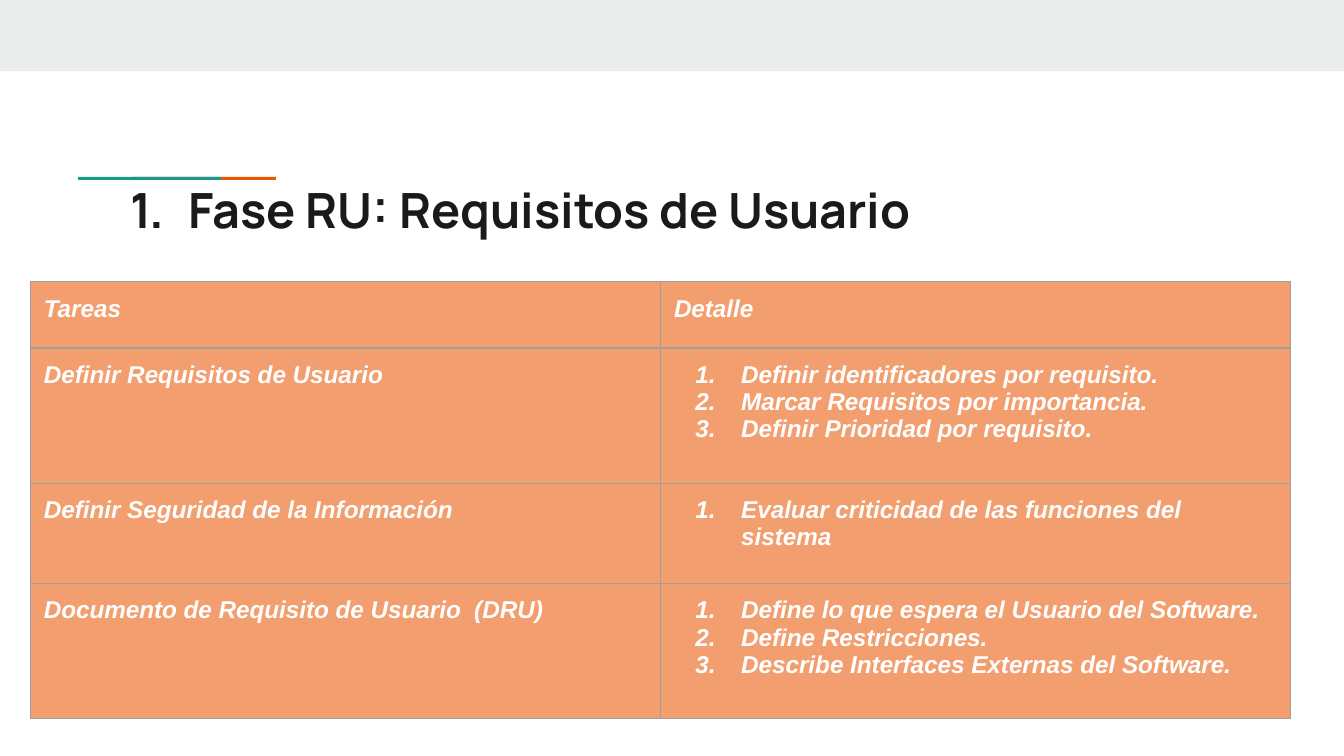
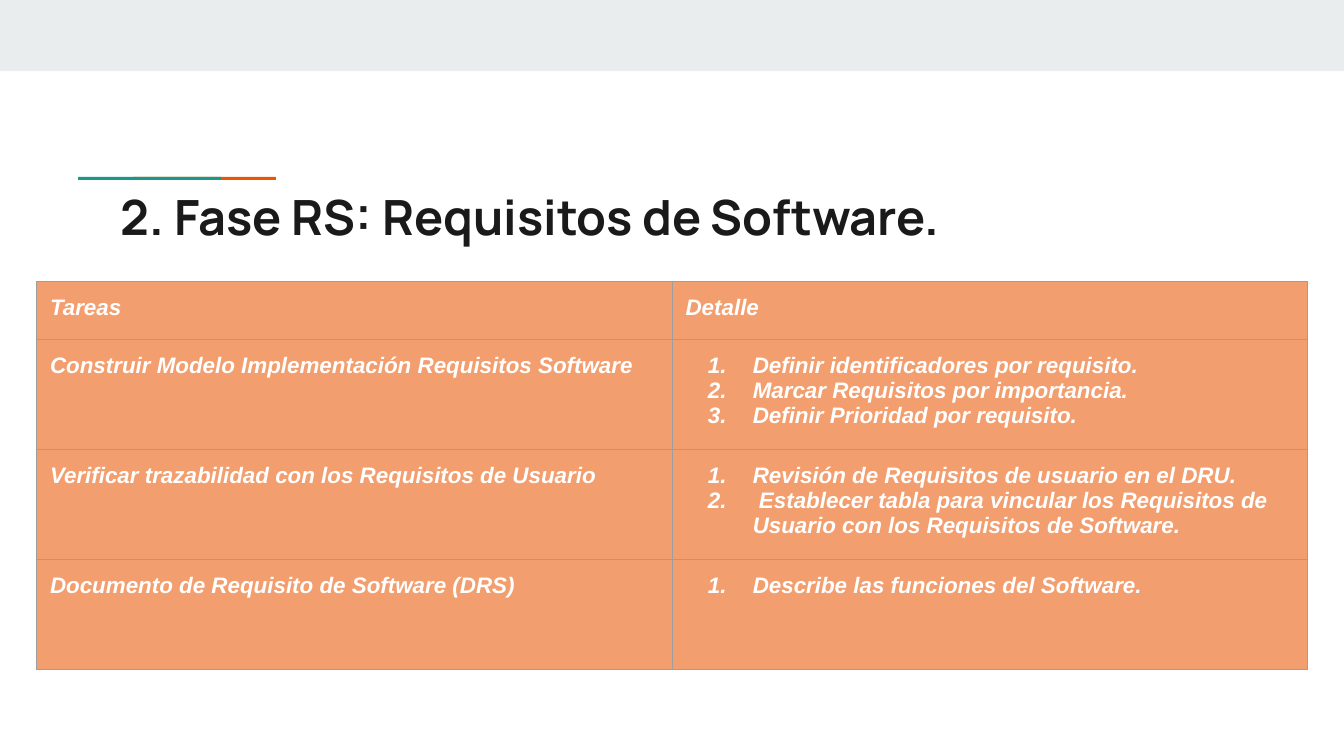
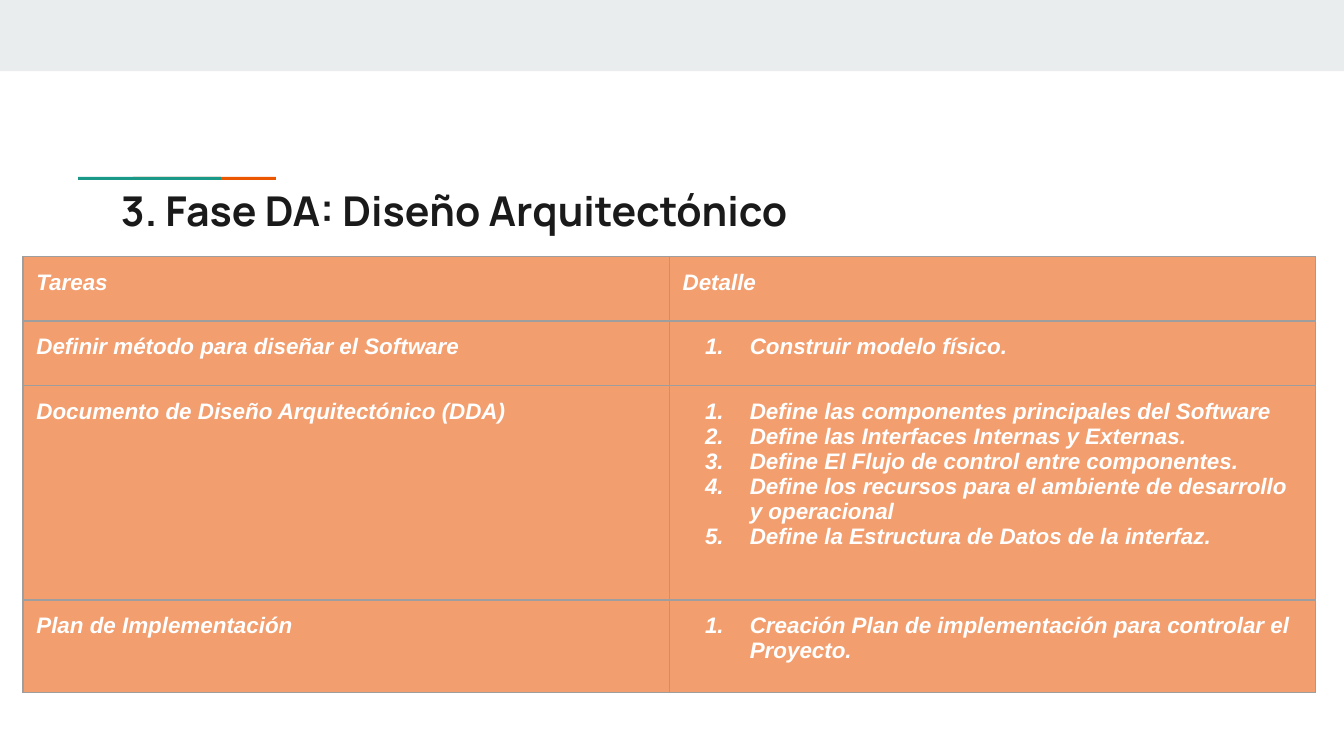
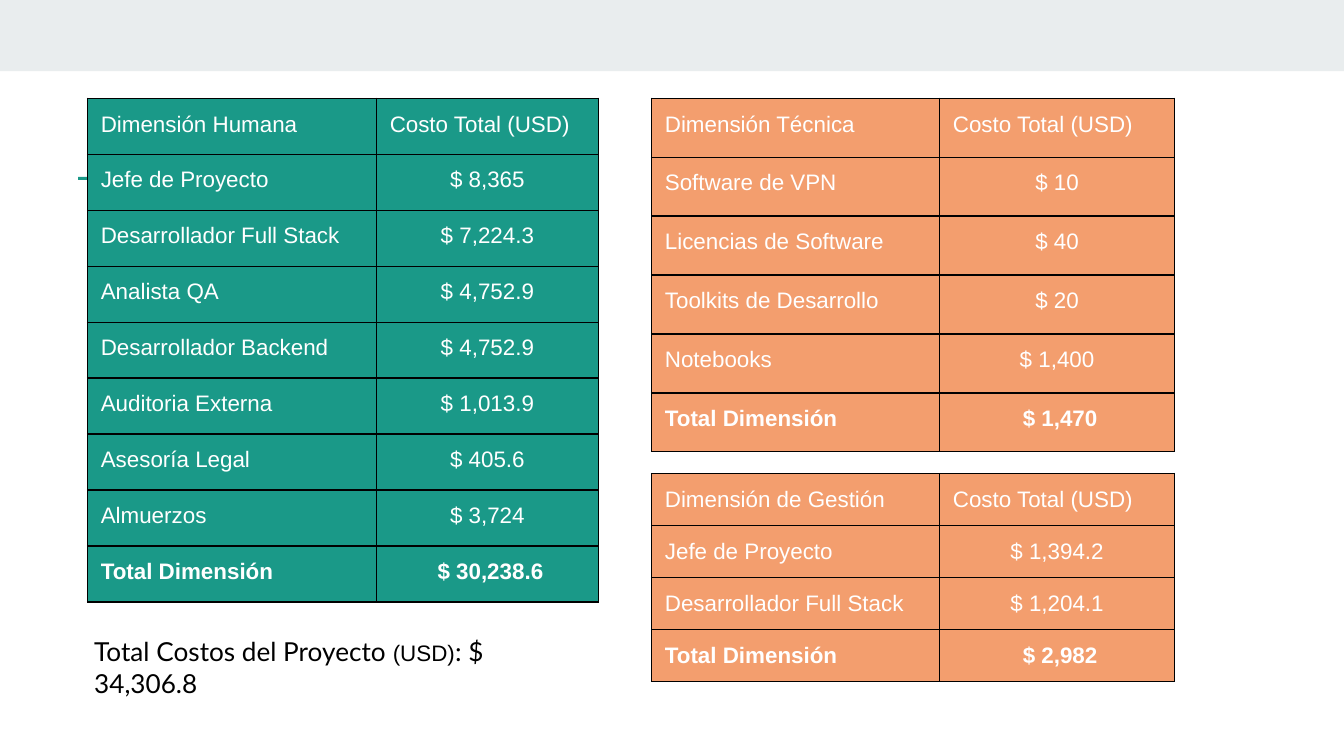
import pptx
import pptx.dml.color
import pptx.enum.shapes
import pptx.enum.text
import pptx.oxml.ns
import pptx.util
from lxml import etree

Pt = pptx.util.Pt
qn = pptx.oxml.ns.qn
ALIGN = pptx.enum.text.PP_ALIGN
TOP = pptx.enum.text.MSO_ANCHOR.TOP
RECTANGLE = pptx.enum.shapes.MSO_SHAPE.RECTANGLE

# Shared look
COLORS = {"band": "E9EDEE", "teal": "1A9988", "orange": "EB5600", "peach": "F39E6E",
          "ink": "1A1A1A", "black": "000000", "white": "FFFFFF", "grid": "9E9E9E"}
SLIDE_SIZE = (720, 405)
INSET = 7.2
LIST_INDENT = 36
MASTER_BARS = [  # colour, left, top, width, height
    ("band", 0, 0, 720, 38.2),
    ("orange", 71.3, 94.8, 76.5, 1.6),
    ("teal", 41.8, 94.8, 76.5, 1.6),
]
TITLE_BOX = {"left": 57.6, "width": 605.5, "height": 42.5}
TITLE_FONT = {"name": "Manrope", "bold": True}
TASK_FONT = {"name": "Arial", "bold": True, "italic": True}
COST_FONT = {"name": "Arial", "size": Pt(12)}

# Phase slides: a right-hand list becomes a numbered list
TASK_HEADER = ("Tareas", "Detalle")
PHASES = [
    {
        "title": "Fase RU: Requisitos de Usuario", "numbered": True,
        "title_size": 26, "title_top": 89.3,
        "origin": (16.3, 150.9), "column": 337.6, "text_size": 13, "hanging": 24.5,
        "heights": [35.6, 72.4, 53.8, 72.4],
        "rows": [
            TASK_HEADER,
            ("Definir Requisitos de Usuario",
             ["Definir identificadores por requisito.",
              "Marcar Requisitos por importancia.",
              "Definir Prioridad por requisito."]),
            ("Definir Seguridad de la Información",
             ["Evaluar criticidad de las funciones del sistema"]),
            ("Documento de Requisito de Usuario  (DRU)",
             ["Define lo que espera el Usuario del Software.",
              "Define Restricciones.",
              "Describe Interfaces Externas del Software."]),
        ],
    },
    {
        "title": "2. Fase RS: Requisitos de Software.", "numbered": False,
        "title_size": 26, "title_top": 92.9,
        "origin": (19.6, 150.9), "column": 340.5, "text_size": 12, "hanging": 24,
        "heights": [31, 59, 59, 59],
        "rows": [
            TASK_HEADER,
            ("Construir Modelo Implementación Requisitos Software",
             ["Definir identificadores por requisito.",
              "Marcar Requisitos por importancia.",
              "Definir Prioridad por requisito."]),
            ("Verificar trazabilidad con los Requisitos de Usuario",
             ["Revisión de Requisitos de usuario en el DRU.",
              " Establecer tabla para vincular los Requisitos de Usuario"
              " con los Requisitos de Software."]),
            ("Documento de Requisito de Software (DRS)",
             ["Describe las funciones del Software."]),
        ],
    },
    {
        "title": "3. Fase DA: Diseño Arquitectónico", "numbered": False,
        "title_size": 22, "title_top": 92.2,
        "origin": (12.3, 137.5), "column": 346.2, "text_size": 12, "hanging": 24,
        "heights": [34.5, 34.5, 115, 49.5],
        "rows": [
            TASK_HEADER,
            ("Definir método para diseñar el Software", ["Construir modelo físico."]),
            ("Documento de Diseño Arquitectónico (DDA)",
             ["Define las componentes principales del Software",
              "Define las Interfaces Internas y Externas.",
              "Define El Flujo de control entre componentes.",
              "Define los recursos para el ambiente de desarrollo y operacional",
              "Define la Estructura de Datos de la interfaz."]),
            ("Plan de Implementación",
             ["Creación Plan de implementación para controlar el Proyecto."]),
        ],
    },
]

# Cost slide
COST_HEADER = "Costo Total (USD)"
TOTAL_LABEL = "Total Dimensión"
COST_TABLES = [
    {
        "fill": "teal", "origin": (46.8, 52.6), "columns": [154.8, 119], "row_height": 30,
        "rows": [
            ("Dimensión Humana", COST_HEADER),
            ("Jefe de Proyecto", "$ 8,365"),
            ("Desarrollador Full Stack", "$ 7,224.3"),
            ("Analista QA", "$ 4,752.9"),
            ("Desarrollador Backend", "$ 4,752.9"),
            ("Auditoria Externa", "$ 1,013.9"),
            ("Asesoría Legal", "$ 405.6"),
            ("Almuerzos", "$ 3,724"),
            (TOTAL_LABEL, " $ 30,238.6"),
        ],
    },
    {
        "fill": "peach", "origin": (349, 52.6), "columns": [154.3, 126], "row_height": 31.6,
        "rows": [
            ("Dimensión Técnica", COST_HEADER),
            ("Software de VPN", "$ 10"),
            ("Licencias de Software", "$ 40"),
            ("Toolkits de Desarrollo", "$ 20"),
            ("Notebooks", "$ 1,400"),
            (TOTAL_LABEL, " $ 1,470"),
        ],
    },
    {
        "fill": "peach", "origin": (349, 253.6), "columns": [154.3, 126], "row_height": 27.85,
        "rows": [
            ("Dimensión de Gestión", COST_HEADER),
            ("Jefe de Proyecto", "$ 1,394.2"),
            ("Desarrollador Full Stack", "$ 1,204.1"),
            (TOTAL_LABEL, " $ 2,982"),
        ],
    },
]
PROJECT_TOTAL_BOX = (43.4, 333.4, 280.8, 34.6)
PROJECT_TOTAL = [("Total Costos del Proyecto ", "Lato", 14), ("(USD)", "Arial", 12),
                 (": $ 34,306.8", "Lato", 14)]


def rgb(color):
    return pptx.dml.color.RGBColor.from_string(COLORS[color])


def set_margins(frame):
    for side in ("left", "right", "top", "bottom"):
        setattr(frame, f"margin_{side}", Pt(INSET))


def add_span(para, text, color, font):
    span = para.add_run()
    span.text = text
    span.font.color.rgb = rgb(color)
    for key, value in font.items():
        setattr(span.font, key, value)


def number_paragraph(para, hanging):
    properties = para._p.get_or_add_pPr()
    properties.set("marL", str(Pt(LIST_INDENT)))
    properties.set("indent", str(-Pt(hanging)))
    etree.SubElement(properties, qn("a:buFont"), typeface="Arial")
    etree.SubElement(properties, qn("a:buAutoNum"), type="arabicPeriod")


def set_borders(cell, color):
    properties = cell._tc.get_or_add_tcPr()
    for side in ("lnL", "lnR", "lnT", "lnB"):
        line = etree.SubElement(properties, qn(f"a:{side}"), w=str(Pt(0.75)))
        fill = etree.SubElement(line, qn("a:solidFill"))
        etree.SubElement(fill, qn("a:srgbClr"), val=COLORS[color])


def add_grid(page, origin, columns, heights, rows, fill, border):
    """Add a styled table and yield each cell with its row, column and content."""
    box = (*origin, sum(columns), sum(heights))
    table = page.shapes.add_table(len(rows), len(columns), *map(Pt, box)).table
    table.first_row = table.horz_banding = False
    for column, width in zip(table.columns, columns):
        column.width = Pt(width)
    for row, height in zip(table.rows, heights):
        row.height = Pt(height)
    for row_index, row in enumerate(rows):
        for column_index, content in enumerate(row):
            cell = table.cell(row_index, column_index)
            set_margins(cell)
            set_borders(cell, border)
            cell.fill.solid()
            cell.fill.fore_color.rgb = rgb(fill)
            yield cell, row_index, column_index, content


def decorate_master(deck, page):
    """Draw the band and accent bars, then move them to the master."""
    for number, (color, *box) in enumerate(MASTER_BARS):
        bar = page.shapes.add_shape(RECTANGLE, *map(Pt, box))
        bar.shadow.inherit = False
        bar.fill.solid()
        bar.fill.fore_color.rgb = rgb(color)
        bar.line.fill.background()
        bar.element.nvSpPr.cNvPr.set("id", str(100 + number))
        deck.slide_master.element.cSld.spTree.append(bar.element)


def add_phase_title(page, phase):
    title = page.shapes.title
    for key, value in {**TITLE_BOX, "top": phase["title_top"]}.items():
        setattr(title, key, Pt(value))
    frame = title.text_frame
    set_margins(frame)
    frame.word_wrap = True
    frame.auto_size = pptx.enum.text.MSO_AUTO_SIZE.NONE
    frame.vertical_anchor = TOP
    para = frame.paragraphs[0]
    para.alignment = ALIGN.LEFT
    if phase["numbered"]:
        number_paragraph(para, 31)
    add_span(para, phase["title"], "ink", {**TITLE_FONT, "size": Pt(phase["title_size"])})


def build_phase(page, phase):
    add_phase_title(page, phase)
    font = {**TASK_FONT, "size": Pt(phase["text_size"])}
    for cell, _, _, content in add_grid(page, phase["origin"], [phase["column"]] * 2,
                                        phase["heights"], phase["rows"], "peach", "grid"):
        numbered = isinstance(content, list)
        frame = cell.text_frame
        for index, text in enumerate(content if numbered else [content]):
            para = frame.add_paragraph() if index else frame.paragraphs[0]
            if numbered:
                number_paragraph(para, phase["hanging"])
            add_span(para, text, "white", font)


def build_costs(page):
    for spec in COST_TABLES:
        rows = spec["rows"]
        heights = [spec["row_height"]] * len(rows)
        for cell, row, column, text in add_grid(page, spec["origin"], spec["columns"],
                                                heights, rows, spec["fill"], "black"):
            para = cell.text_frame.paragraphs[0]
            if row and column:
                para.alignment = ALIGN.CENTER
            add_span(para, text, "white", {**COST_FONT, "bold": row == len(rows) - 1})

    # Project total
    frame = page.shapes.add_textbox(*map(Pt, PROJECT_TOTAL_BOX)).text_frame
    set_margins(frame)
    frame.word_wrap = True
    for text, name, size in PROJECT_TOTAL:
        add_span(frame.paragraphs[0], text, "black", {"name": name, "size": Pt(size)})


def main():
    deck = pptx.Presentation()
    deck.slide_width, deck.slide_height = map(Pt, SLIDE_SIZE)
    title_only, blank = deck.slide_layouts[5], deck.slide_layouts[6]
    for phase in PHASES:
        build_phase(deck.slides.add_slide(title_only), phase)
    cost_page = deck.slides.add_slide(blank)
    decorate_master(deck, cost_page)
    build_costs(cost_page)
    deck.save("out.pptx")


if __name__ == "__main__":
    main()
